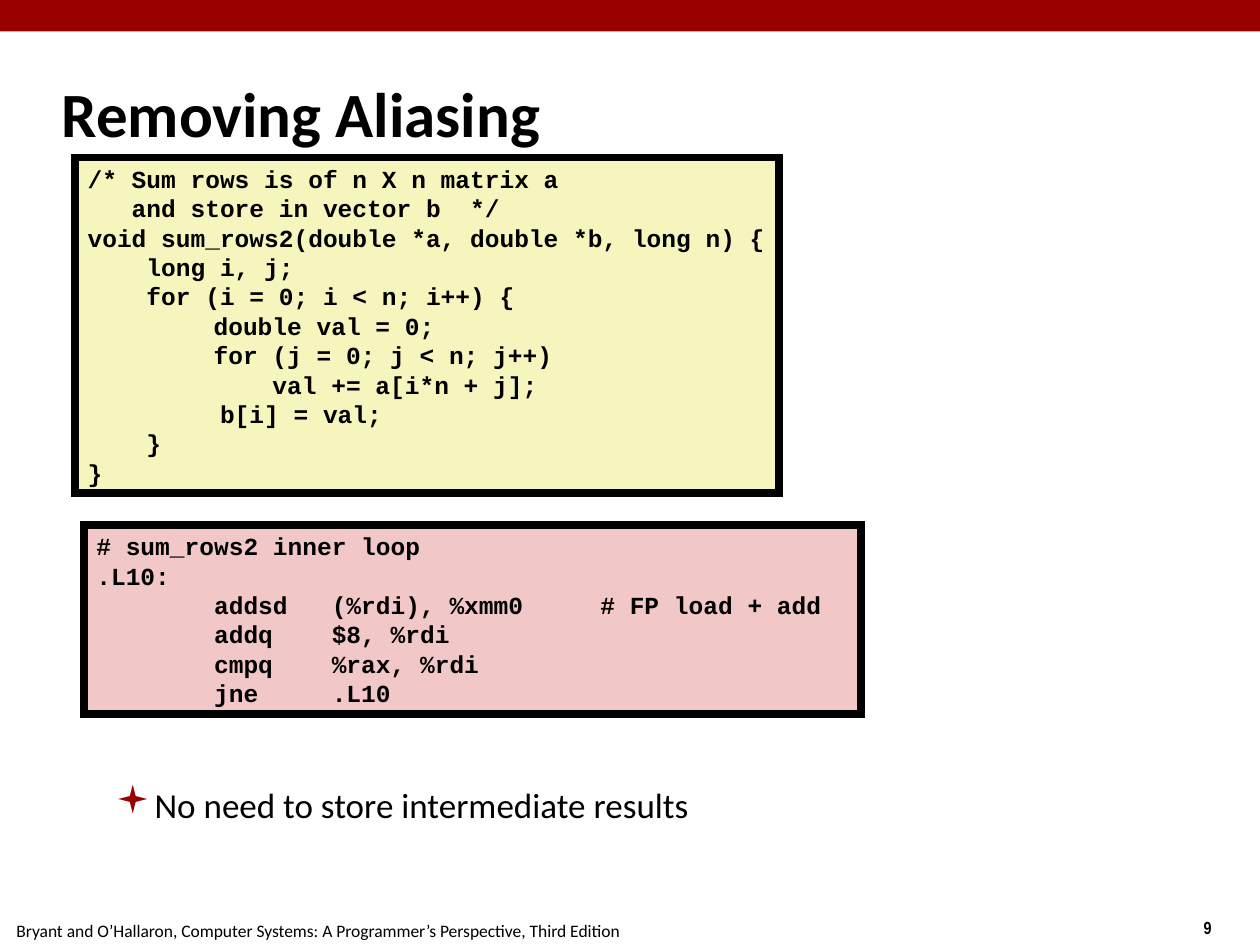
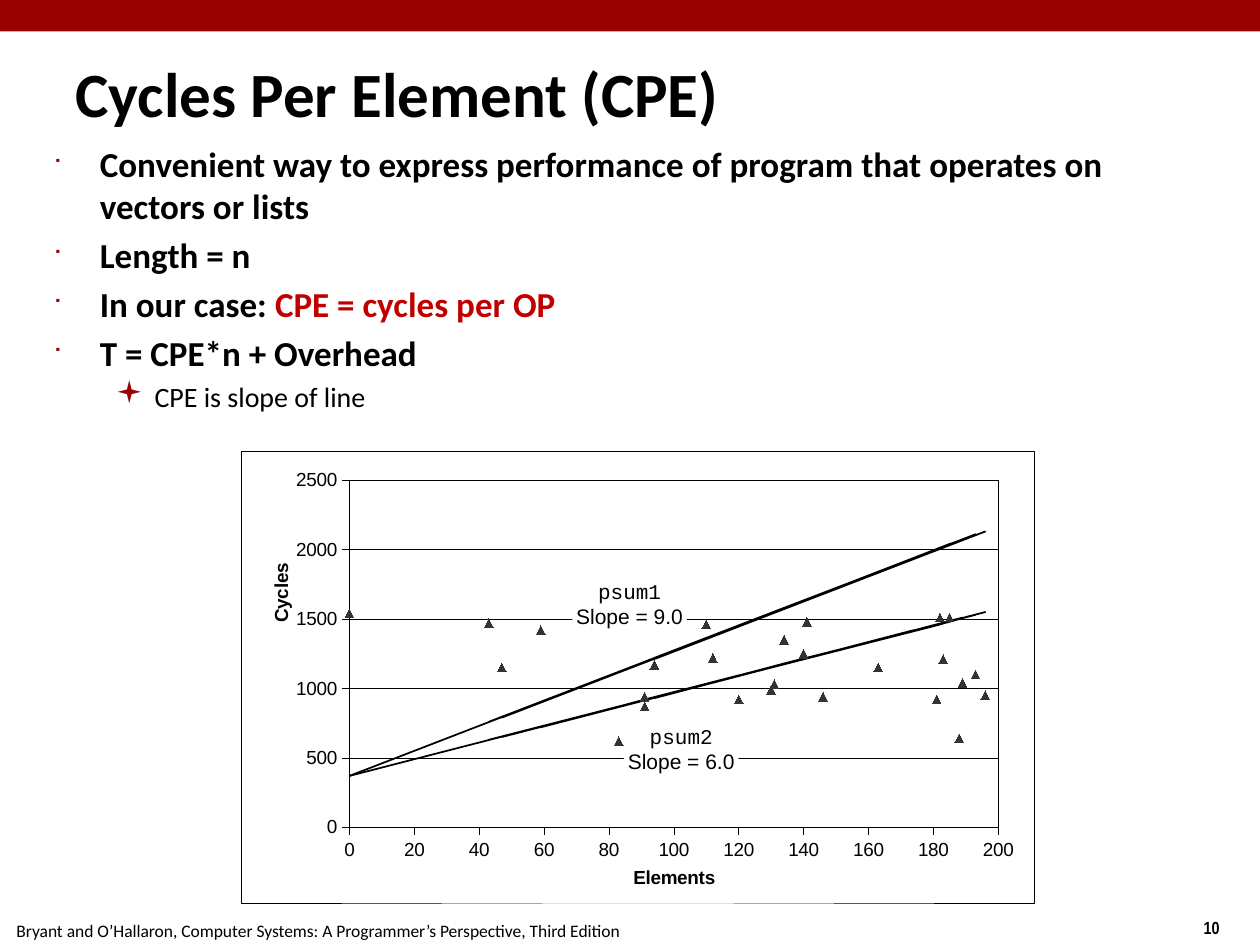
from lxml.etree import SubElement
from pptx import Presentation
from pptx.chart.data import XyChartData
from pptx.dml.color import RGBColor
from pptx.enum.chart import XL_CHART_TYPE as ChartType, XL_MARKER_STYLE as MarkerStyle, XL_TICK_MARK as TickMark
from pptx.enum.shapes import MSO_SHAPE as ShapeType
from pptx.enum.text import MSO_ANCHOR as Anchor, MSO_AUTO_SIZE as AutoSize, PP_ALIGN as Align
from pptx.oxml import parse_xml
from pptx.oxml.ns import nsdecls, qn
from pptx.util import Pt

BLACK = RGBColor(0x00, 0x00, 0x00)
WHITE = RGBColor(0xFF, 0xFF, 0xFF)
BAND_RED = RGBColor(0x99, 0x00, 0x00)
ACCENT_RED = RGBColor(0xC0, 0x00, 0x00)
CODE_YELLOW = RGBColor(0xF6, 0xF5, 0xBD)
CODE_PINK = RGBColor(0xF1, 0xC7, 0xC7)
MARKER_GREY = RGBColor(0x33, 0x33, 0x33)

SANS, CODE, CHART_FONT, NUMBER_FONT = "Calibri", "Courier New", "Arial", "Arial Narrow"
BULLET_FONT = "Wingdings"
SLIDE_WIDTH, SLIDE_HEIGHT = 720, 540
FOOTER = "Bryant and O’Hallaron, Computer Systems: A Programmer’s Perspective, Third Edition"
HAIRLINE = (
    '<a:ln w="3175"><a:solidFill><a:srgbClr val="000000"/></a:solidFill></a:ln>'
)

BULLET_LEVELS = [
    {"left": 27, "hang": 26.7, "char": "■", "percent": 60},
    {"left": 58.3, "hang": 22.3, "char": "▪", "percent": 110},
]

SUM_ROWS_CODE = [
    "/* Sum rows is of n X n matrix a",
    "   and store in vector b  */",
    "void sum_rows2(double *a, double *b, long n) {",
    "    long i, j;",
    "    for (i = 0; i < n; i++) {",
    "\tdouble val = 0;",
    "\tfor (j = 0; j < n; j++)",
    "\t    val += a[i*n + j];",
    "         b[i] = val;",
    "    }",
    "}",
]
INNER_LOOP_CODE = [
    "# sum_rows2 inner loop",
    ".L10:",
    "        addsd   (%rdi), %xmm0\t# FP load + add",
    "        addq    $8, %rdi",
    "        cmpq    %rax, %rdi",
    "        jne     .L10",
]

ELEMENTS = [0, 193, 120, 91, 95, 196, 97, 181, 91, 83, 43, 183, 140, 146, 94,
            134, 163, 131, 110, 182, 189, 112, 141, 185, 188, 47, 130, 102, 59, 174]
CYCLES = {
    "Series 1": [None] * len(ELEMENTS),
    "Series 2": [370, 2110, 1450, 1190, 1220, 2130, 1240, 2000, 1190, 1120, 760, 2020, 1630, 1680, 1220,
                 1580, 1840, 1550, 1360, 2010, 2070, 1380, 1640, 2040, 2060, 790, 1540, 1290, 900, 1940],
    "Series 3": [1540, 1100, 920, 940, 1550, 950, 1460, 920, 870, 620, 1470, 1210, 1250, 940, 1170,
                 1350, 1150, 1030, 1460, 1510, 1040, 1220, 1480, 1510, 640, 1150, 990, 730, 1420, None],
    "Series 4": [370, 1530, 1090, 920, 940, 1550, 950, 1460, 920, 870, 630, 1470, 1210, 1250, 930,
                 1180, 1350, 1160, 1030, 1460, 1510, 1040, 1220, 1480, 1500, 650, 1150, 980, 720, 1420],
}
POINT_MARKERS = {"Series 1": MarkerStyle.DIAMOND, "Series 3": MarkerStyle.TRIANGLE}


def set_font(font, size, name, bold=False, color=BLACK):
    """Set the size, face, weight and colour of a font."""
    font.size, font.name, font.bold = Pt(size), name, bold
    font.color.rgb = color


def add_run(paragraph, text, size, name=SANS, bold=False, color=BLACK):
    """Append one formatted run to a paragraph."""
    run = paragraph.add_run()
    run.text = text
    set_font(run.font, size, name, bold, color)


def paragraphs_of(frame, items):
    """Pair each item with a paragraph of the frame, adding those that are missing."""
    for index, item in enumerate(items):
        yield (frame.add_paragraph() if index else frame.paragraphs[0]), item


def add_box(slide, box, fill, line_width=0):
    """Add a rectangle with a plain fill and, if asked, a black mitred outline."""
    shape = slide.shapes.add_shape(ShapeType.RECTANGLE, *map(Pt, box))
    shape.shadow.inherit = False
    shape.fill.solid()
    shape.fill.fore_color.rgb = fill
    if line_width:
        shape.line.color.rgb = BLACK
        shape.line.width = Pt(line_width)
        SubElement(shape.element.spPr.find(qn("a:ln")), qn("a:miter"), lim="800000")
    else:
        shape.line.fill.background()
    return shape


def add_caption(slide, box, text, name, bold=False):
    """Add a small one-line text at the foot of the slide."""
    frame = slide.shapes.add_textbox(*map(Pt, box)).text_frame
    frame.word_wrap = True
    add_run(frame.paragraphs[0], text, 10, name, bold)


def add_base_slide(presentation, title, title_box, number):
    """Add a slide with its red band, title, footer and page number."""
    slide = presentation.slides.add_slide(presentation.slide_layouts[5])
    add_box(slide, (0, 0, SLIDE_WIDTH, 18), BAND_RED)
    add_caption(slide, (680.7, 520.5, 39, 19.5), str(number), NUMBER_FONT, bold=True)
    add_caption(slide, (2.3, 522, 370, 18), FOOTER, SANS)
    placeholder = slide.shapes.title
    placeholder.left, placeholder.top, placeholder.width, placeholder.height = map(Pt, title_box)
    frame = placeholder.text_frame
    frame.auto_size, frame.vertical_anchor = AutoSize.NONE, Anchor.MIDDLE
    frame.paragraphs[0].alignment = Align.LEFT
    add_run(frame.paragraphs[0], title, 36, bold=True)
    return slide


def add_bullets(slide, box, bullets):
    """Add bullets given as (level, size, runs), each run a text and a colour."""
    frame = slide.shapes.add_textbox(*map(Pt, box)).text_frame
    frame.word_wrap = True
    for paragraph, (level, size, runs) in paragraphs_of(frame, bullets):
        style = BULLET_LEVELS[level]
        paragraph.level = level
        properties = paragraph._p.get_or_add_pPr()
        properties.set("marL", str(Pt(style["left"])))
        properties.set("indent", str(-Pt(style["hang"])))
        SubElement(SubElement(properties, qn("a:buClr")), qn("a:srgbClr"), val=str(BAND_RED))
        SubElement(properties, qn("a:buSzPct"), val=str(style["percent"] * 1000))
        SubElement(properties, qn("a:buFont"), typeface=BULLET_FONT, charset="2")
        SubElement(properties, qn("a:buChar"), char=style["char"])
        paragraph.space_before = Pt(0 if paragraph._p is frame.paragraphs[0]._p else size / 5)
        for text, color in runs:
            add_run(paragraph, text, size, bold=level == 0, color=color)


def add_code(slide, box, lines, fill, wrap):
    """Add a framed listing with one paragraph for each line of code."""
    frame = add_box(slide, box, fill, 4.5).text_frame
    frame.word_wrap, frame.vertical_anchor = wrap, Anchor.TOP
    for paragraph, line in paragraphs_of(frame, lines):
        paragraph.alignment = Align.LEFT
        tabs = SubElement(paragraph._p.get_or_add_pPr(), qn("a:tabLst"))
        for stop in range(72, box[2], 72):
            SubElement(tabs, qn("a:tab"), pos=str(Pt(stop)), algn="l")
        add_run(paragraph, line, 14, CODE, bold=True)


def set_layout(parent, index, inner=False, **fractions):
    """Place a chart part by fractions of the chart's size."""
    for layout in parent.findall(qn("c:layout")):
        parent.remove(layout)
    target = '<c:layoutTarget val="inner"/>' if inner else ""
    modes = "".join(f'<c:{key}Mode val="edge"/>' for key in ("x", "y"))
    values = "".join(f'<c:{key} val="{value}"/>' for key, value in fractions.items())
    parent.insert(index, parse_xml(
        f'<c:layout {nsdecls("c")}><c:manualLayout>{target}{modes}{values}</c:manualLayout></c:layout>'))


def format_axis(axis, title, maximum, step, gridlines, x, y):
    """Set the scale, lines, labels and title of one axis."""
    axis.minimum_scale, axis.maximum_scale, axis.major_unit = 0, maximum, step
    axis.major_tick_mark, axis.minor_tick_mark = TickMark.OUTSIDE, TickMark.NONE
    axis.has_major_gridlines = gridlines
    lines = [axis.format.line] + ([axis.major_gridlines.format.line] if gridlines else [])
    for line in lines:
        line.color.rgb = BLACK
        line.width = Pt(0.25)
    set_font(axis.tick_labels.font, 10.8, CHART_FONT)
    add_run(axis.axis_title.text_frame.paragraphs[0], title, 10.8, CHART_FONT, bold=True)
    set_layout(axis.axis_title._element, 1, x=x, y=y)


def format_series(series):
    """Draw a series as grey markers or as a plain black line."""
    series.smooth = False
    if series.name in POINT_MARKERS:
        series.format.line.fill.background()
        series.marker.style, series.marker.size = POINT_MARKERS[series.name], 5
        series.marker.format.fill.solid()
        series.marker.format.fill.fore_color.rgb = MARKER_GREY
        series.marker.format.line.color.rgb = MARKER_GREY
    else:
        series.marker.style = MarkerStyle.NONE
        series.format.line.color.rgb = BLACK
        series.format.line.width = Pt(1)


def remove_blank_points(chart_space):
    """Drop the cached points that have no value."""
    for point in list(chart_space.iter(qn("c:pt"))):
        if point.findtext(qn("c:v")) == "None":
            point.getparent().remove(point)


def add_slope_label(slide, box, function, slope):
    """Add a white label with a function's name and its slope."""
    frame = add_box(slide, box, WHITE).text_frame
    frame.word_wrap, frame.vertical_anchor = False, Anchor.TOP
    frame.margin_left = frame.margin_right = frame.margin_top = Pt(2)
    frame.margin_bottom = Pt(0)
    for paragraph, (text, name) in paragraphs_of(frame, [(function, CODE), (f"Slope = {slope}", CHART_FONT)]):
        paragraph.alignment = Align.CENTER
        add_run(paragraph, text, 12, name)


def add_cycles_chart(slide, box):
    """Add the scatter chart of cycles against elements with its slope labels."""
    data = XyChartData()
    for name, cycles in CYCLES.items():
        series = data.add_series(name)
        for element, cycle in zip(ELEMENTS, cycles):
            series.add_data_point(element, cycle)
    chart = slide.shapes.add_chart(ChartType.XY_SCATTER, *map(Pt, box), data).chart
    chart_space = chart._chartSpace
    remove_blank_points(chart_space)
    chart.has_legend = chart.has_title = False
    set_font(chart.font, 10, CHART_FONT)
    plot = chart.plots[0]
    plot.vary_by_categories = False
    for series in plot.series:
        format_series(series)
    format_axis(chart.category_axis, "Elements", 200, 20, False, x=0.49, y=0.91)
    format_axis(chart.value_axis, "Cycles", 2500, 500, True, x=0.03, y=0.24)

    plot_area = chart_space.chart.plotArea
    set_layout(plot_area, 0, inner=True, x=0.136, y=0.063, w=0.819, h=0.77)
    plot_area.append(parse_xml(f'<c:spPr {nsdecls("c", "a")}><a:noFill/>{HAIRLINE}</c:spPr>'))
    chart_space.chart.addnext(parse_xml(
        f'<c:spPr {nsdecls("c", "a")}><a:solidFill><a:srgbClr val="{WHITE}"/></a:solidFill>{HAIRLINE}</c:spPr>'))

    left, top = box[:2]
    add_slope_label(slide, (left + 189, top + 70.5, 65.5, 31), "psum1", "9.0")
    add_slope_label(slide, (left + 218.5, top + 153.5, 65.5, 31), "psum2", "6.0")


def build_aliasing_slide(presentation):
    """Build the slide with the aliasing-free code and its inner loop."""
    slide = add_base_slide(presentation, "Removing Aliasing", (28, 34.5, 598, 59), 9)
    add_bullets(slide, (23, 444, 654, 63), [(1, 20, [("No need to store intermediate results", BLACK)])])
    add_code(slide, (48, 300, 444, 108), INNER_LOOP_CODE, CODE_PINK, wrap=True)
    add_code(slide, (43, 90, 402, 192), SUM_ROWS_CODE, CODE_YELLOW, wrap=False)


def build_cpe_slide(presentation):
    """Build the slide that defines cycles per element."""
    slide = add_base_slide(presentation, "Cycles Per Element (CPE)", (36, 30, 641, 45), 10)
    add_bullets(slide, (23, 78, 654, 120), [
        (0, 20, [("Convenient way to express performance of program that operates on vectors or lists", BLACK)]),
        (0, 20, [("Length = n", BLACK)]),
        (0, 20, [("In our case: ", BLACK), ("CPE = cycles per OP", ACCENT_RED)]),
        (0, 20, [("T = CPE*n + Overhead", BLACK)]),
        (1, 16, [("CPE is slope of line", BLACK)]),
    ])
    add_cycles_chart(slide, (138, 258, 453, 258))


def main():
    """Build both slides and save the presentation."""
    presentation = Presentation()
    presentation.slide_width, presentation.slide_height = Pt(SLIDE_WIDTH), Pt(SLIDE_HEIGHT)
    build_aliasing_slide(presentation)
    build_cpe_slide(presentation)
    presentation.save("out.pptx")


if __name__ == "__main__":
    main()
